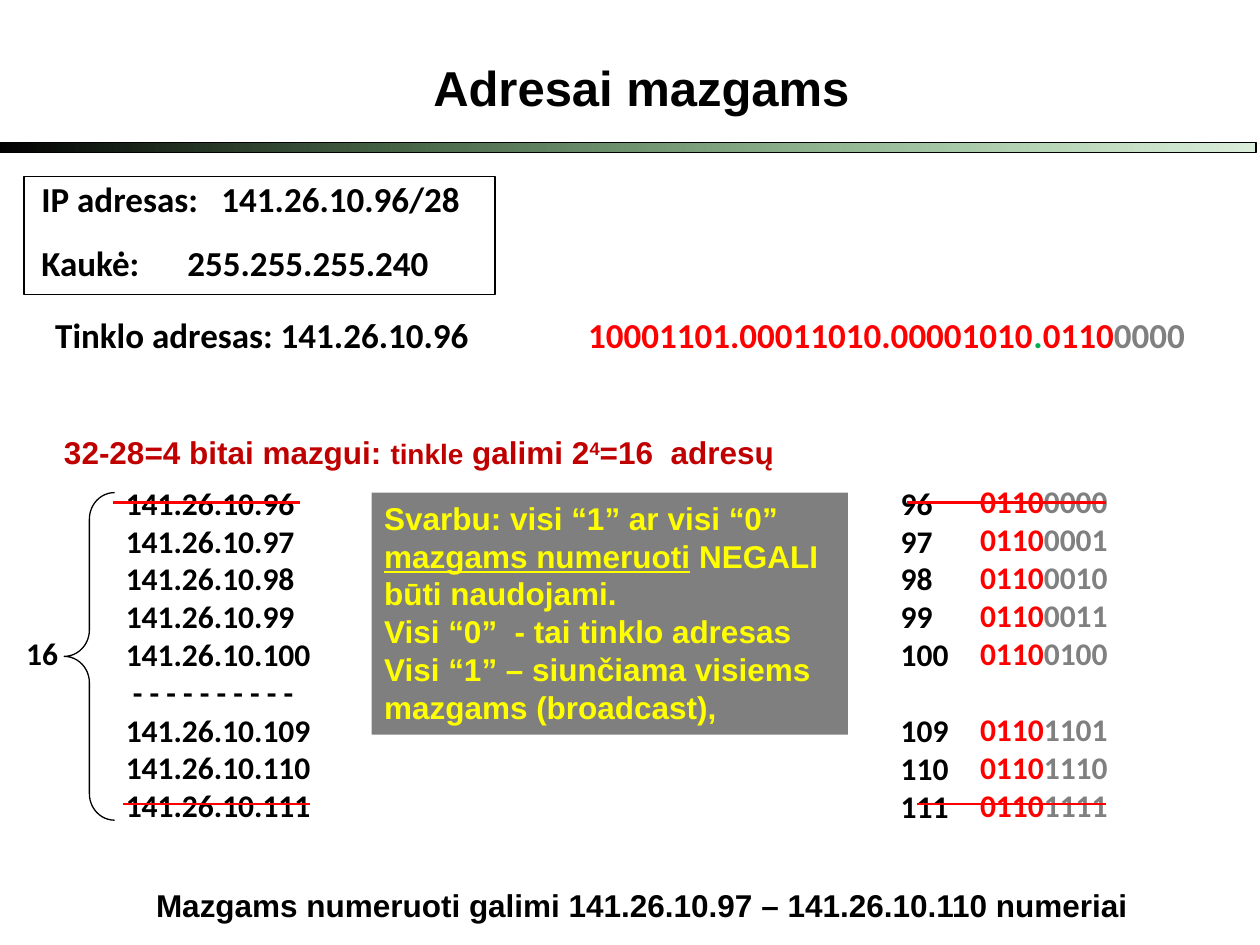
from dataclasses import dataclass
from typing import Optional

from lxml import etree
from pptx import Presentation
from pptx import util as u
from pptx.dml.color import RGBColor
from pptx.enum import shapes, text
from pptx.oxml import ns
from pptx.util import Inches

BLACK = RGBColor(0x00, 0x00, 0x00)
RED = RGBColor(0xFF, 0x00, 0x00)
DARK_RED = RGBColor(0xC0, 0x00, 0x00)
GREEN = RGBColor(0x00, 0x80, 0x00)
DOT_GREEN = RGBColor(0x00, 0xB0, 0x50)
GRAY = RGBColor(0x80, 0x80, 0x80)
YELLOW = RGBColor(0xFF, 0xFF, 0x00)

NETWORK = "141.26.10."
FIRST_HOSTS = range(96, 101)
LAST_HOSTS = range(109, 112)
LIST_LINE = u.Pt(22)


@dataclass
class Run:
    text: str
    color: Optional[RGBColor] = None
    size: Optional[int] = None
    underline: bool = False
    superscript: bool = False


@dataclass
class Line:
    runs: list[Run]
    space_before: Optional[int] = None
    tab: Optional[float] = None


@dataclass
class Box:
    left: float
    top: float
    width: float
    height: float


@dataclass
class Style:
    font: str
    size: int
    color: RGBColor = BLACK
    wrap: bool = False
    align: text.PP_ALIGN = text.PP_ALIGN.LEFT


def place(box: Box) -> tuple:
    return Inches(box.left), Inches(box.top), Inches(box.width), Inches(box.height)


def plain(content: str) -> Line:
    return Line([Run(content)])


def write_lines(shape, lines: list[Line], style: Style) -> None:
    frame = shape.text_frame
    frame.word_wrap = style.wrap
    frame.vertical_anchor = text.MSO_ANCHOR.TOP
    for index, line in enumerate(lines):
        paragraph = frame.add_paragraph() if index else frame.paragraphs[0]
        paragraph.alignment = style.align
        paragraph.space_before = line.space_before
        paragraph.font.name = style.font
        paragraph.font.size = u.Pt(style.size)
        paragraph.font.bold = True
        paragraph.font.color.rgb = style.color
        if line.tab:
            add_tab_stop(paragraph, line.tab)
        for part in line.runs:
            run = paragraph.add_run()
            run.text = part.text
            if part.color is not None:
                run.font.color.rgb = part.color
            if part.size:
                run.font.size = u.Pt(part.size)
            if part.underline:
                run.font.underline = True
            if part.superscript:
                run.font._element.set("baseline", "30000")


def add_tab_stop(paragraph, position: float) -> None:
    properties = paragraph._p.get_or_add_pPr()
    tabs = etree.Element(ns.qn("a:tabLst"))
    etree.SubElement(tabs, ns.qn("a:tab"), pos=str(Inches(position)), algn="l")
    properties.find(ns.qn("a:defRPr")).addprevious(tabs)


def add_text(slide, box: Box, lines: list[Line], style: Style) -> None:
    write_lines(slide.shapes.add_textbox(*place(box)), lines, style)


def add_outline(slide, kind: shapes.MSO_SHAPE, box: Box):
    """Add an unfilled shape with a thin black line."""
    shape = slide.shapes.add_shape(kind, *place(box))
    shape.shadow.inherit = False
    shape.fill.background()
    shape.line.color.rgb = BLACK
    shape.line.width = u.Pt(0.75)
    return shape


def set_alpha(color_element, percent: int) -> None:
    etree.SubElement(color_element, ns.qn("a:alpha"), val=str(percent * 1000))


def add_title_bar(slide) -> None:
    bar = add_outline(slide, shapes.MSO_SHAPE.RECTANGLE, Box(-0.03, 1.13, 10, 0.08))
    bar.fill.gradient()
    bar.fill.gradient_angle = 180
    start, end = bar.fill.gradient_stops
    start.position, end.position = 0, 1
    start.color.rgb, end.color.rgb = GREEN, BLACK
    set_alpha(next(bar._element.spPr.iter(ns.qn("a:srgbClr"))), 14)


def add_warning(slide) -> None:
    panel = add_outline(slide, shapes.MSO_SHAPE.RECTANGLE, Box(2.95, 3.91, 3.78, 1.92))
    panel.line.fill.background()
    panel.fill.solid()
    panel.fill.fore_color.rgb = BLACK
    set_alpha(next(panel._element.spPr.iter(ns.qn("a:srgbClr"))), 50)
    write_lines(panel, [
        plain("Svarbu: visi “1” ar visi “0”"),
        Line([Run("mazgams numeruoti", underline=True), Run(" NEGALI")]),
        plain("būti naudojami."),
        plain("Visi “0”  - tai tinklo adresas Visi “1” – siunčiama visiems"),
        plain("mazgams (broadcast),"),
    ], Style("Arial", 18, YELLOW, wrap=True))


def add_strike(slide, left: float, right: float, y: float) -> None:
    line = slide.shapes.add_connector(
        shapes.MSO_CONNECTOR.STRAIGHT, Inches(left), Inches(y), Inches(right), Inches(y))
    line.line.color.rgb = RED
    line.line.width = u.Pt(1.5)
    etree.SubElement(line._element.spPr, ns.qn("a:effectLst"))


def bits(host: int) -> Line:
    binary = f"{host:08b}"
    return Line([Run(binary[:4], RED), Run(binary[4:], GRAY)])


def with_gap(first: list[Line], last: list[Line]) -> list[Line]:
    """Join two lists, leaving one line free between them."""
    last[0].space_before = LIST_LINE
    return first + last


def add_host_lists(slide) -> None:
    style = Style("Calibri", 18)
    addresses = [plain(f"{NETWORK}{host}") for host in FIRST_HOSTS]
    addresses.append(plain(" - - - - - - - - - -"))
    addresses += [plain(f"{NETWORK}{host}") for host in LAST_HOSTS]
    add_text(slide, Box(0.9, 3.79, 1.74, 2.83), addresses, style)
    numbers = with_gap([plain(str(host)) for host in FIRST_HOSTS],
                       [plain(str(host)) for host in LAST_HOSTS])
    add_text(slide, Box(7.05, 3.79, 0.59, 2.83), numbers, style)
    binaries = with_gap([bits(host) for host in FIRST_HOSTS],
                        [bits(host) for host in LAST_HOSTS])
    add_text(slide, Box(7.68, 3.78, 1.23, 3.13), binaries, style)


def main() -> None:
    presentation = Presentation()
    presentation.slide_width, presentation.slide_height = Inches(10), Inches(7.5)
    slide = presentation.slides.add_slide(presentation.slide_layouts[6])
    spacing = u.Pt(12.5)
    body = Style("Calibri", 20, wrap=True)

    add_text(slide, Box(0.34, 0.41, 9.5, 0.57), [plain("Adresai mazgams")],
             Style("Arial", 28, wrap=True, align=text.PP_ALIGN.CENTER))
    add_title_bar(slide)
    add_text(slide, Box(0.34, 2.44, 9.5, 0.44), [Line([
        Run("Tinklo adresas: 141.26.10.96\t"),
        Run("10001101.00011010.00001010", RED), Run(".", DOT_GREEN),
        Run("0110", RED), Run("0000", GRAY)], spacing, 4.23)], body)
    add_text(slide, Box(0.41, 3.39, 5.97, 0.41), [Line([
        Run("32-28=4 bitai mazgui: "), Run("tinkle", size=16), Run(" galimi 2"),
        Run("4", superscript=True), Run("=16  adresų")], spacing)],
        Style("Arial", 18, DARK_RED))
    add_text(slide, Box(0.23, 1.36, 9.57, 0.96), [
        Line([Run("IP adresas:\t141.26.10.96/28")], spacing, 1.43),
        Line([Run("Kaukė:\t255.255.255.240")], spacing, 1.16)], body)
    add_outline(slide, shapes.MSO_SHAPE.RECTANGLE, Box(0.19, 1.4, 3.74, 0.94))

    brace = add_outline(slide, shapes.MSO_SHAPE.LEFT_BRACE, Box(0.51, 3.91, 0.4, 2.6))
    brace.adjustments[0] = 0.525
    add_text(slide, Box(0.11, 4.98, 0.46, 0.4), [plain("16")], Style("Calibri", 18))
    add_warning(slide)
    add_host_lists(slide)
    for left, right, y in ((0.9, 2.38, 3.99), (7.2, 8.78, 3.99),
                           (0.98, 2.46, 6.38), (7.28, 8.78, 6.38)):
        add_strike(slide, left, right, y)
    add_text(slide, Box(1.14, 6.98, 7.99, 0.4),
             [plain("Mazgams numeruoti galimi 141.26.10.97 – 141.26.10.110 numeriai")],
             Style("Arial", 18))
    presentation.save("out.pptx")


if __name__ == "__main__":
    main()
